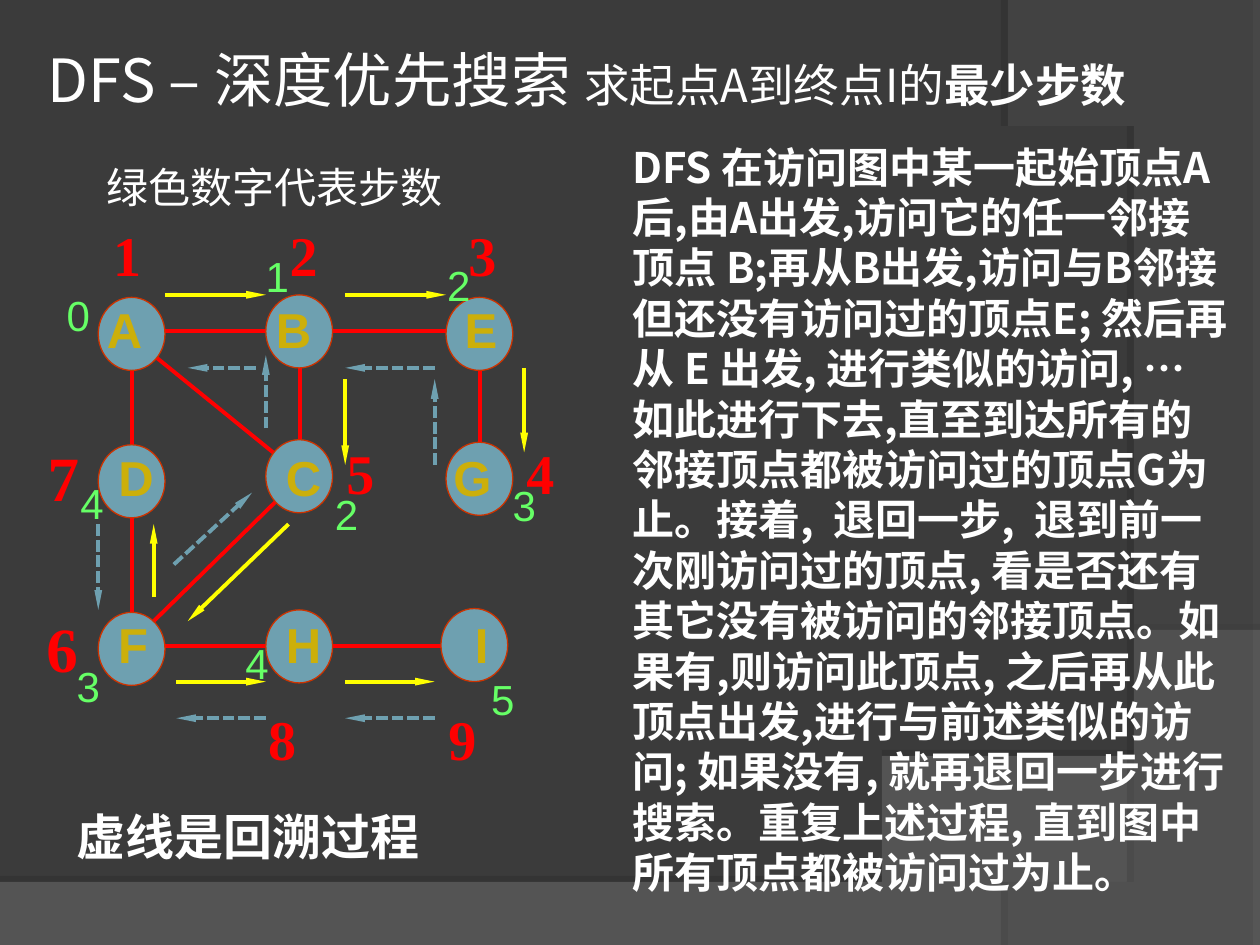
from lxml import etree
from pptx import Presentation
from pptx.dml.color import RGBColor
from pptx.enum.dml import MSO_LINE
from pptx.enum.shapes import MSO_CONNECTOR, MSO_SHAPE
from pptx.enum.text import MSO_ANCHOR, MSO_AUTO_SIZE, PP_ALIGN
from pptx.oxml.ns import qn
from pptx.util import Inches, Pt

STRAIGHT, OVAL = MSO_CONNECTOR.STRAIGHT, MSO_SHAPE.OVAL
DOTTED = MSO_LINE.SQUARE_DOT
MIDDLE, TOP = MSO_ANCHOR.MIDDLE, MSO_ANCHOR.TOP
NO_FIT = MSO_AUTO_SIZE.NONE
LEFT, CENTER = PP_ALIGN.LEFT, PP_ALIGN.CENTER

CJK, SERIF, SANS = "Noto Sans CJK SC", "Times New Roman", "Arial"
WHITE, RED, YELLOW, TEAL = "FFFFFF", "FF0000", "FFFF00", "6EA0B0"
GOLD, GREEN = "CCAF0A", "66FF66"

BODY = (
    "DFS 在访问图中某一起始顶点A 后,由A出发,访问它的任一邻接顶点 B;再从B出发,访问与B邻接但还没有访问过的顶点E; "
    "然后再从 E 出发, 进行类似的访问, … 如此进行下去,直至到达所有的邻接顶点都被访问过的顶点G为止。"
    "接着,  退回一步,  退到前一次刚访问过的顶点, 看是否还有其它没有被访问的邻接顶点。"
    "如果有,则访问此顶点, 之后再从此顶点出发,进行与前述类似的访问; 如果没有, 就再退回一步进行搜索。"
    "重复上述过程, 直到图中所有顶点都被访问过为止。"
)
# letter, vertex left and top, label left, top and width
VERTICES = [
    ("A", 0.78, 2.36, 0.75, 2.33, 0.48), ("B", 2.11, 2.34, 2.09, 2.33, 0.48),
    ("E", 3.54, 2.36, 3.59, 2.33, 0.46), ("D", 0.78, 3.53, 0.84, 3.5, 0.48),
    ("C", 2.11, 3.49, 2.17, 3.5, 0.48), ("G", 3.54, 3.51, 3.5, 3.5, 0.54),
    ("F", 0.78, 4.86, 0.84, 4.83, 0.44), ("H", 2.11, 4.84, 2.17, 4.83, 0.48),
    ("I", 3.5, 4.83, 3.67, 4.83, 0.31),
]
EDGES = [
    (1.22, 4.93, 2.2, 3.97), (1.22, 2.82, 2.29, 3.69), (2.38, 2.82, 2.38, 3.49),
    (1.22, 5.13, 3.54, 5.13), (1.05, 2.93, 1.05, 4.95), (1.22, 2.63, 3.54, 2.63),
    (3.81, 2.92, 3.81, 3.59),
]
VISITS = [
    (1.31, 2.34, 2.11, 2.34), (2.74, 2.34, 3.54, 2.34), (4.16, 2.92, 4.16, 3.59),
    (2.74, 3.01, 2.74, 3.69), (2.29, 4.16, 1.49, 4.93), (1.22, 4.74, 1.22, 4.16),
    (1.4, 5.41, 2.11, 5.41), (2.74, 5.41, 3.45, 5.41),
]
BACKTRACKS = [
    (3.45, 3.69, 3.45, 3.01), (3.45, 2.92, 2.74, 2.92), (2.11, 3.4, 2.11, 2.82),
    (2.03, 2.92, 1.49, 2.92), (0.78, 4.16, 0.78, 4.84), (2.11, 5.7, 1.4, 5.7),
    (3.45, 5.7, 2.74, 5.7), (1.38, 4.48, 2, 3.91),
]
VISIT_ORDER = [
    ("1", 0.8, 1.7, 32), ("2", 2.2, 1.7, 32), ("3", 3.62, 1.7, 32),
    ("4", 4.08, 3.43, 32), ("5", 2.65, 3.43, 32), ("6", 0.27, 4.79, 36),
    ("7", 0.28, 3.43, 36), ("8", 2.03, 5.54, 32), ("9", 3.46, 5.54, 32),
]
STEPS = [
    ("0", 0.43, 2.25), ("1", 2.01, 1.94), ("2", 3.45, 2.01), ("3", 3.97, 3.76),
    ("2", 2.56, 3.83), ("3", 0.51, 5.19), ("4", 0.54, 3.74), ("4", 1.85, 5.01),
    ("5", 3.8, 5.3),
]


def rgb(value):
    """Turn a hex string into a colour."""
    return RGBColor.from_string(value)


def add_xml(parent, tag, **attrs):
    """Append a DrawingML element and return it."""
    return etree.SubElement(parent, qn(tag), {k: str(v) for k, v in attrs.items()})


def format_paragraph(p, size, color, name=CJK, bold=False, align=LEFT):
    """Set alignment and Latin and East Asian fonts of a paragraph."""
    p.alignment = align
    font = p.font
    font.size, font.bold, font.name = Pt(size), bold, name
    font.color.rgb = rgb(color)
    add_xml(p._p.pPr.find(qn("a:defRPr")), "a:ea", typeface=CJK)


def place(sp, x, y, w, h):
    """Set position and size in inches."""
    sp.left, sp.top, sp.width, sp.height = map(Inches, (x, y, w, h))


def add_text(s, text, box, size, color, name=SANS, bold=False, align=LEFT, wrap=True):
    """Add a text box with one paragraph."""
    tf = s.shapes.add_textbox(*map(Inches, box)).text_frame
    tf.word_wrap = wrap
    p = tf.paragraphs[0]
    p.text = text
    format_paragraph(p, size, color, name, bold, align)


def bezier(a, b, c, d, steps=40):
    """Sample a cubic curve, leaving out its start point."""
    ts = [i / steps for i in range(1, steps + 1)]
    return [
        tuple((1 - t) ** 3 * i + 3 * t * (1 - t) ** 2 * j + 3 * t * t * (1 - t) * k + t ** 3 * m
              for i, j, k, m in zip(a, b, c, d))
        for t in ts
    ]


def add_wave(s, points, color, alpha, distance, direction):
    """Add a translucent background wave with a soft edge shadow."""
    fb = s.shapes.build_freeform(*points[0], scale=Inches(1))
    fb.add_line_segments(points[1:], close=True)
    sp = fb.convert_to_shape()
    sp.shadow.inherit = False
    sp.line.fill.background()
    sp.fill.solid()
    sp.fill.fore_color.rgb = rgb(color)
    pr = sp._element.spPr
    add_xml(pr.find(".//" + qn("a:srgbClr")), "a:alpha", val=alpha * 1000)
    shadow = add_xml(pr.find(qn("a:effectLst")), "a:outerShdw",
                     blurRad=0, dist=Pt(distance), dir=direction * 60000)
    add_xml(add_xml(shadow, "a:srgbClr", val="000000"), "a:alpha", val=25000)


def add_line(s, ends, color, arrow=True, dash=None):
    """Add a graph edge or a movement arrow."""
    c = s.shapes.add_connector(STRAIGHT, *map(Inches, ends))
    c.line.color.rgb = rgb(color)
    c.line.width = Pt(2.25)
    if dash:
        c.line.dash_style = dash
    if arrow:
        add_xml(c.line._get_or_add_ln(), "a:tailEnd", type="triangle", w="sm", len="lg")
    add_xml(c._element.spPr, "a:effectLst")


def add_vertex(s, letter, x, y, label_x, label_y, label_w):
    """Add a graph vertex and its letter."""
    sp = s.shapes.add_shape(OVAL, *map(Inches, (x, y, 0.53, 0.58)))
    sp.shadow.inherit = False
    sp.fill.solid()
    sp.fill.fore_color.rgb = rgb(TEAL)
    sp.line.color.rgb = rgb("CC3300")
    sp.line.width = Pt(0.75)
    add_text(s, letter, (label_x, label_y, label_w, 0.57), 28, GOLD, bold=True, wrap=False)


def fill_title(sp):
    """Fill the title placeholder."""
    place(sp, 0.28, 0.21, 9, 0.83)
    tf = sp.text_frame
    tf.auto_size, tf.vertical_anchor, tf.word_wrap = NO_FIT, MIDDLE, True
    p = tf.paragraphs[0]
    format_paragraph(p, 34, WHITE)
    for text, size, bold in [("DFS – 深度优先搜索 ", 34, False),
                             ("求起点A到终点I的", 26, False), ("最少步数", 26, True)]:
        r = p.add_run()
        r.text = text
        r.font.size, r.font.bold = Pt(size), bold


def fill_body(sp):
    """Fill the body placeholder with the description."""
    place(sp, 4.92, 1.07, 4.96, 6.5)
    tf = sp.text_frame
    tf.auto_size, tf.vertical_anchor, tf.word_wrap = NO_FIT, TOP, True
    p = tf.paragraphs[0]
    p.text = BODY
    p.space_before = Pt(0)
    pr = p._p.get_or_add_pPr()
    pr.set("marL", "0")
    pr.set("indent", "0")
    add_xml(pr, "a:buNone")
    format_paragraph(p, 24, WHITE, bold=True)


def main():
    """Build the slide."""
    prs = Presentation()
    prs.slide_width, prs.slide_height = Inches(10), Inches(7.5)
    s = prs.slides.add_slide(prs.slide_layouts[1])
    s.background.fill.solid()
    s.background.fill.fore_color.rgb = rgb("3B3B3B")
    add_wave(s, [(0, 7.05), (0, 7.5), (10, 7.5), (10, 5.2)]
             + bezier((10, 5.2), (5.59, 7.29), (3.91, 7.19), (0, 7.05)), "7C7C7C", 45, 3.5, 270)
    add_wave(s, [(10, 0.02), (10, 7.5), (8.21, 7.5)]
             + bezier((8.21, 7.5), (9.35, 6.19), (10.18, 3), (8, 0)), "595959", 40, 4, 180)
    title, body = s.placeholders
    fill_title(title)
    fill_body(body)
    for sp in (title, body):
        s.shapes._spTree.append(sp._element)
    for ends in EDGES:
        add_line(s, ends, RED, arrow=False)
    for vertex in VERTICES:
        add_vertex(s, *vertex)
    for ends in VISITS:
        add_line(s, ends, YELLOW)
    for ends in BACKTRACKS:
        add_line(s, ends, TEAL, dash=DOTTED)
    for number, x, y, size in VISIT_ORDER:
        add_text(s, number, (x, y, 0.43, size / 50), size, RED, SERIF, True, wrap=False)
    for number, x, y in STEPS:
        add_text(s, number, (x, y, 0.34, 0.5), 24, GREEN)
    add_text(s, "绿色数字代表步数", (0.75, 1.23, 3.7, 0.5), 24, WHITE)
    add_text(s, "虚线是回溯过程", (0.51, 6.35, 2.92, 0.57), 28, WHITE, "Cabin", True, CENTER, False)
    prs.save("out.pptx")


if __name__ == "__main__":
    main()
